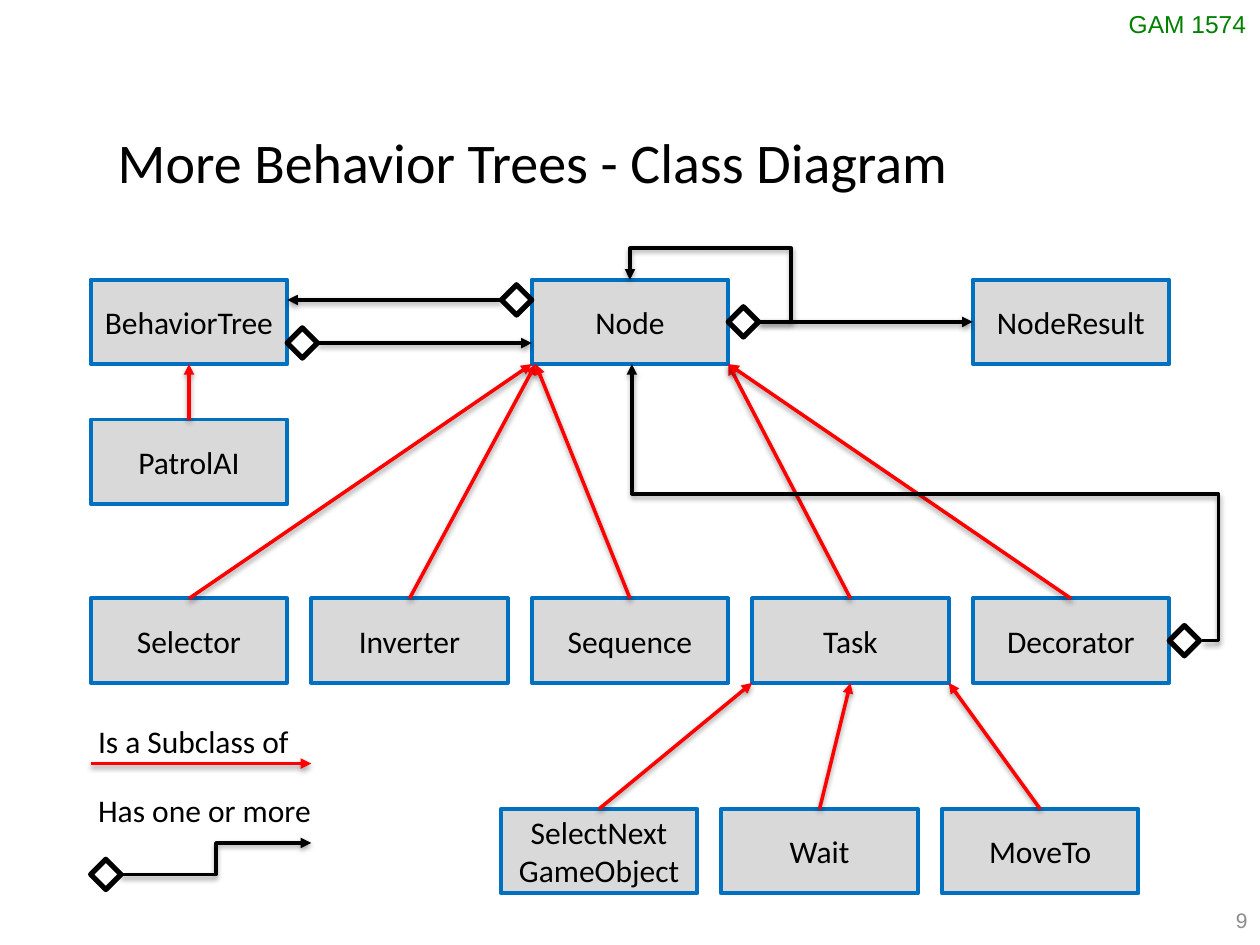
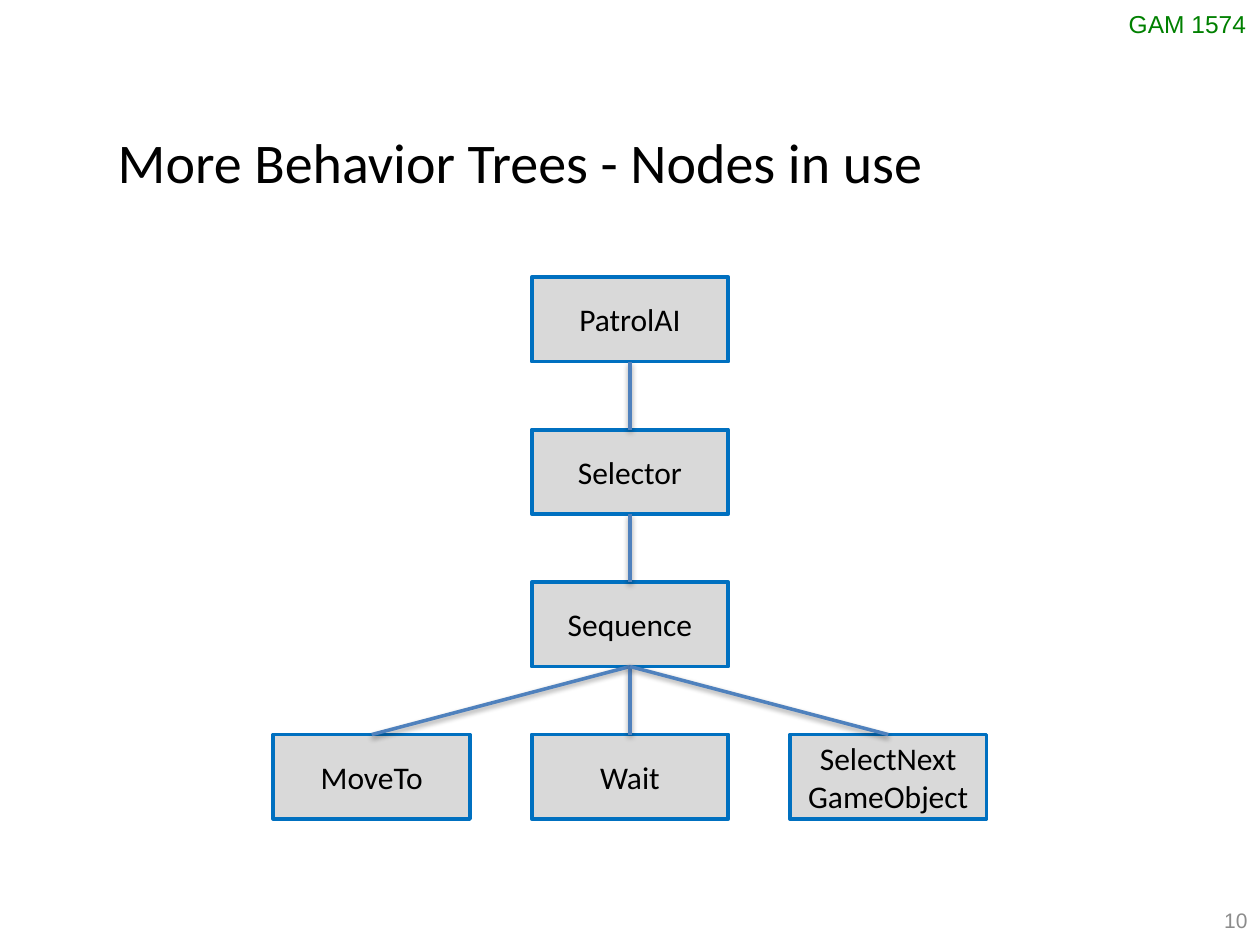
"""Build two slides on behavior trees: a class diagram and the nodes in use."""
from dataclasses import dataclass

from lxml.etree import SubElement
from pptx import Presentation
from pptx.dml.color import RGBColor as Rgb
from pptx.enum.shapes import MSO_CONNECTOR as Link, MSO_SHAPE as Shape
from pptx.enum.text import MSO_ANCHOR as Anchor, MSO_AUTO_SIZE as Fit, PP_ALIGN as Align
from pptx.oxml.ns import qn
from pptx.util import Inches, Pt


@dataclass(frozen=True)
class Theme:
    """Colours, fonts and type sizes of the deck."""
    ink: str = "000000"
    paper: str = "FFFFFF"
    course: str = "008000"
    number: str = "8C8C8C"
    node_fill: str = "D9D9D9"
    node_edge: str = "0070C0"
    subclass: str = "FF0000"
    branch: str = "4F81BD"
    body_font: str = "Calibri"
    frame_font: str = "Arial"
    title_size: int = 32
    label_size: int = 18
    course_size: int = 14
    number_size: int = 12
    link_width: float = 2
    node_width: float = 2.25
    diamond_width: float = 3


THEME = Theme()
SLIDE_W, SLIDE_H = 10, 7.5
NODE_W, NODE_H = 1.56, 0.67
DIAMOND = 0.24
LEFT, COLUMN = 0.72, 1.75
CLASS_ROWS = {"core": 2.22, "patrol": 3.33, "kinds": 4.75, "tasks": 6.42}
TASK_COLUMN = 1.86
TREE_TOP, TREE_ROW, TREE_COLUMN = 2.2, 1.21, 2.05


@dataclass(frozen=True)
class Box:
    """A rectangle in inches, with points found by shares of its size."""
    left: float
    top: float
    width: float = NODE_W
    height: float = NODE_H

    def at(self, across, down):
        """Return the point at the given shares of width and height."""
        return self.left + across * self.width, self.top + down * self.height

    def emu(self):
        """Return left, top, width and height as lengths."""
        return [Inches(side) for side in (self.left, self.top, self.width, self.height)]


def class_box(column, row):
    """Return the class diagram box at a column and a named row."""
    return Box(LEFT + column * COLUMN, CLASS_ROWS[row])


def tree_box(column, row):
    """Return the tree box at a column counted from the middle and a row."""
    return Box((SLIDE_W - NODE_W) / 2 + column * TREE_COLUMN, TREE_TOP + row * TREE_ROW)


def apply(target, values):
    """Set each attribute in values on target."""
    for name, value in values.items():
        setattr(target, name, value)


def write(frame, text, size, color=THEME.ink, font=THEME.body_font, align=Align.LEFT, **format_values):
    """Fill a text frame and format all its paragraphs."""
    frame.text = text
    apply(frame, format_values)
    for paragraph in frame.paragraphs:
        paragraph.alignment = align
        apply(paragraph.font, {"name": font, "size": Pt(size)})
        paragraph.font.color.rgb = Rgb.from_string(color)


def add_label(slide, box, text, size, **format_values):
    """Add a text box."""
    write(slide.shapes.add_textbox(*box.emu()).text_frame, text, size, **format_values)


def add_outlined(slide, preset, box, fill, edge, width):
    """Add a filled and outlined preset shape."""
    shape = slide.shapes.add_shape(preset, *box.emu())
    shape.shadow.inherit = False
    shape.fill.solid()
    shape.fill.fore_color.rgb = Rgb.from_string(fill)
    shape.line.color.rgb = Rgb.from_string(edge)
    shape.line.width = Pt(width)
    return shape


def add_node(slide, box, text):
    """Add a named node box."""
    node = add_outlined(slide, Shape.RECTANGLE, box, THEME.node_fill, THEME.node_edge, THEME.node_width)
    write(node.text_frame, text, THEME.label_size, align=Align.CENTER,
          vertical_anchor=Anchor.MIDDLE, word_wrap=True)
    return node


def add_diamond(slide, left, middle):
    """Add an aggregation diamond and return its box."""
    box = Box(left, middle - DIAMOND / 2, DIAMOND, DIAMOND)
    add_outlined(slide, Shape.DIAMOND, box, THEME.paper, THEME.ink, THEME.diamond_width)
    return box


def add_link(slide, start, end, color, arrow=True, kind=Link.STRAIGHT):
    """Add a line with a soft shadow and, if wanted, an arrowhead."""
    link = slide.shapes.add_connector(kind, *[Inches(place) for place in (*start, *end)])
    link.line.color.rgb = Rgb.from_string(color)
    link.line.width = Pt(THEME.link_width)
    if arrow:
        SubElement(link.line._get_or_add_ln(), qn("a:tailEnd"), type="triangle")
    effects = SubElement(link._element.spPr, qn("a:effectLst"))
    shadow = SubElement(effects, qn("a:outerShdw"), blurRad="40000", dist="20000",
                        dir="5400000", rotWithShape="0")
    tint = SubElement(shadow, qn("a:srgbClr"), val=THEME.ink)
    SubElement(tint, qn("a:alpha"), val="38000")
    return link


def add_detour(slide, start, end, turn):
    """Add an arrow that leaves sideways to turn's x, then runs along turn's y."""
    link = add_link(slide, start, end, THEME.ink, kind=Link.ELBOW)
    geometry = link._element.spPr.find(qn("a:prstGeom"))
    geometry.set("prst", "bentConnector4")
    guides = geometry.find(qn("a:avLst"))
    for index, (first, last, via) in enumerate(zip(start, end, turn), 1):
        share = round((via - first) / (last - first) * 100000)
        SubElement(guides, qn("a:gd"), name=f"adj{index}", fmla=f"val {share}")


def add_branch(slide, parent, child):
    """Join the bottom of a parent node to the top of its child."""
    link = add_link(slide, (0, 0), (1, 1), THEME.branch, arrow=False)
    link.begin_connect(parent, 2)
    link.end_connect(child, 0)


def add_page(deck, title, number):
    """Add a slide with its title, course code and number."""
    slide = deck.slides.add_slide(deck.slide_layouts[5])
    heading = slide.shapes.title
    place = Box(SLIDE_W / 12, 0.96, SLIDE_W * 5 / 6, 0.64)
    apply(heading, dict(zip(("left", "top", "width", "height"), place.emu())))
    write(heading.text_frame, title, THEME.title_size, vertical_anchor=Anchor.TOP,
          word_wrap=True, auto_size=Fit.NONE)
    add_label(slide, Box(8.86, 0.02, 1.14, 0.34), "GAM 1574", THEME.course_size,
              color=THEME.course, font=THEME.frame_font, word_wrap=False,
              auto_size=Fit.SHAPE_TO_FIT_TEXT)
    add_label(slide, Box(7.67, SLIDE_H - 0.4, 2.33, 0.4), str(number), THEME.number_size,
              color=THEME.number, font=THEME.frame_font, align=Align.RIGHT,
              vertical_anchor=Anchor.MIDDLE, word_wrap=True)
    return slide


def add_subclasses(slide, boxes):
    """Draw the arrows from each subclass to its parent class."""
    targets = {
        "PatrolAI": ("BehaviorTree", 0.5), "Selector": ("Node", 0), "Inverter": ("Node", 0.02),
        "Sequence": ("Node", 0.02), "Task": ("Node", 1), "Decorator": ("Node", 1),
        "SelectNext\nGameObject": ("Task", 0), "Wait": ("Task", 0.5), "MoveTo": ("Task", 1),
    }
    for child, (parent, across) in targets.items():
        add_link(slide, boxes[child].at(0.5, 0), boxes[parent].at(across, 1), THEME.subclass)


def add_aggregations(slide, boxes):
    """Draw the diamonds and arrows from each owner to what it holds."""
    tree, node, result, decorator = (
        boxes[name] for name in ("BehaviorTree", "Node", "NodeResult", "Decorator"))
    tree_right, node_right = tree.at(1, 0)[0], node.at(1, 0)[0]
    upper, lower = node.at(0, 0.24)[1], node.at(0, 0.75)[1]

    to_node = add_diamond(slide, tree_right, lower)
    add_link(slide, to_node.at(1, 0.5), (node.left, lower), THEME.ink)
    to_tree = add_diamond(slide, node.left - DIAMOND, upper)
    add_link(slide, to_tree.at(0, 0.5), (tree_right, upper), THEME.ink)

    from_node = add_diamond(slide, node_right, node.at(0, 0.5)[1])
    add_link(slide, from_node.at(1, 0.5), result.at(0, 0.5), THEME.ink)
    add_detour(slide, from_node.at(1, 0.5), node.at(0.5, 0), (6.28, 1.97))

    from_decorator = add_diamond(slide, *decorator.at(1, 0.5))
    add_detour(slide, from_decorator.at(1.1, 0.5), node.at(0.51, 1), (9.67, 3.92))


def add_legend(slide):
    """Explain the two kinds of arrow."""
    for text, top, width in (("Is a Subclass of", 5.68, 1.73), ("Has one or more", 6.23, 1.91)):
        add_label(slide, Box(LEFT - 0.04, top, width, 0.4), text, THEME.label_size,
                  word_wrap=False, auto_size=Fit.SHAPE_TO_FIT_TEXT)
    legend_right = LEFT + COLUMN
    add_link(slide, (LEFT, 6.06), (legend_right, 6.06), THEME.subclass)
    owner = add_diamond(slide, LEFT, 6.94)
    add_link(slide, owner.at(1, 0.5), (legend_right, 6.69), THEME.ink, kind=Link.ELBOW)


def build_class_diagram(deck):
    """Build the class diagram slide."""
    slide = add_page(deck, "More Behavior Trees - Class Diagram", 9)
    rows = {
        "core": {"BehaviorTree": 0, "Node": 2, "NodeResult": 4},
        "patrol": {"PatrolAI": 0},
        "kinds": {"Selector": 0, "Inverter": 1, "Sequence": 2, "Task": 3, "Decorator": 4},
        "tasks": {name: TASK_COLUMN + step
                  for step, name in enumerate(("SelectNext\nGameObject", "Wait", "MoveTo"))},
    }
    boxes = {name: class_box(column, row)
             for row, columns in rows.items() for name, column in columns.items()}
    for name, box in boxes.items():
        add_node(slide, box, name)
    add_subclasses(slide, boxes)
    add_aggregations(slide, boxes)
    add_legend(slide)


def build_nodes_in_use(deck):
    """Build the slide with the tree of nodes."""
    slide = add_page(deck, "More Behavior Trees - Nodes in use", 10)
    trunk = [add_node(slide, tree_box(0, row), name)
             for row, name in enumerate(("PatrolAI", "Selector", "Sequence"))]
    leaves = [add_node(slide, tree_box(column, len(trunk)), name)
              for column, name in enumerate(("MoveTo", "Wait", "SelectNext\nGameObject"), -1)]
    for parent, child in zip(trunk, trunk[1:]):
        add_branch(slide, parent, child)
    for leaf in leaves:
        add_branch(slide, trunk[-1], leaf)


def main():
    """Build and save the deck."""
    deck = Presentation()
    apply(deck, {"slide_width": Inches(SLIDE_W), "slide_height": Inches(SLIDE_H)})
    build_class_diagram(deck)
    build_nodes_in_use(deck)
    deck.save("out.pptx")


if __name__ == "__main__":
    main()
